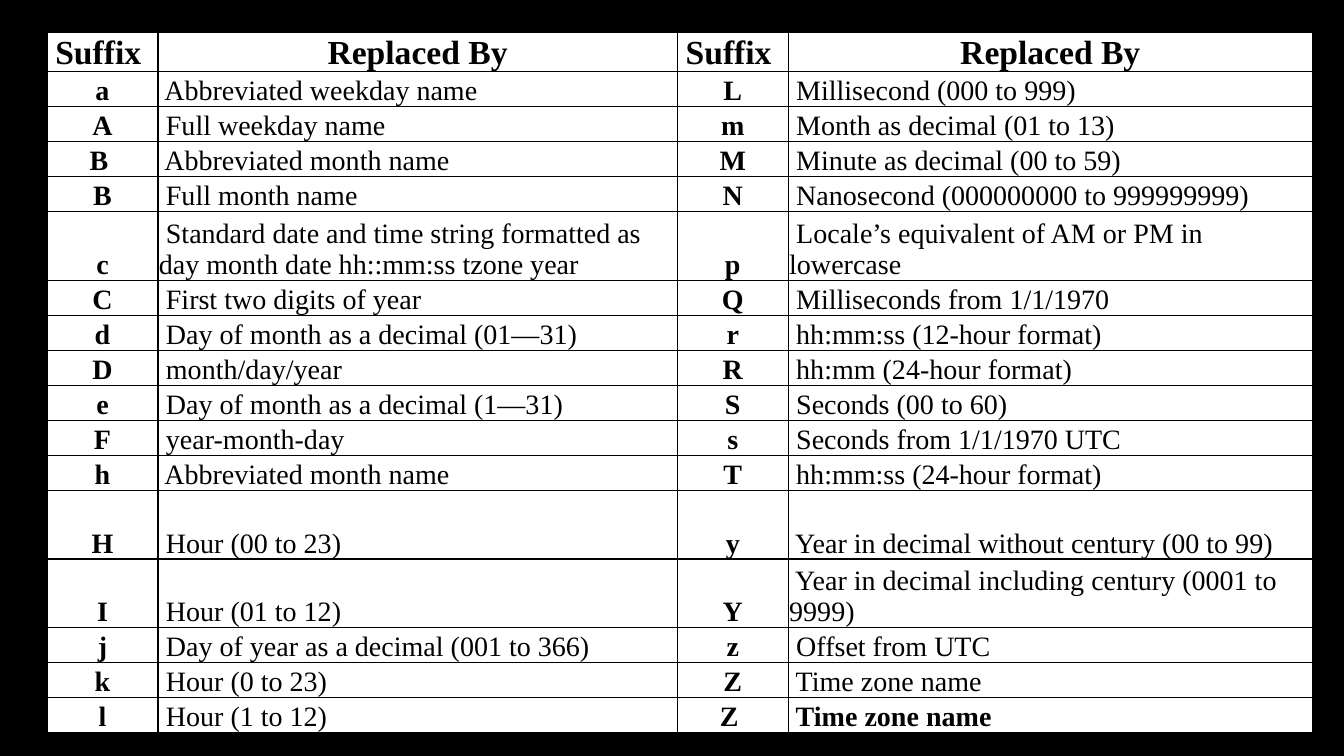
import dataclasses

import lxml.etree
import pptx
import pptx.dml.color
import pptx.enum.text
import pptx.oxml.ns
import pptx.util


@dataclasses.dataclass(frozen=True)
class Theme:
    font: str = "Times New Roman"
    ink: str = "000000"
    paper: str = "FFFFFF"
    backdrop: str = "000000"
    header_size: int = 24
    body_size: int = 20
    border: int = 1
    inset: float = 0.01


HEADER = ("Suffix ", "Replaced By", "Suffix ", "Replaced By")
SUFFIXES = [
    ("a", "Abbreviated weekday name", "L", "Millisecond (000 to 999)"),
    ("A", "Full weekday name", "m", "Month as decimal (01 to 13)"),
    ("B ", "Abbreviated month name", "M", "Minute as decimal (00 to 59)"),
    ("B", "Full month name", "N", "Nanosecond (000000000 to 999999999)"),
    ("c", "Standard date and time string formatted as day month date hh::mm:ss tzone year",
     "p", "Locale’s equivalent of AM or PM in lowercase"),
    ("C", "First two digits of year", "Q", "Milliseconds from 1/1/1970"),
    ("d", "Day of month as a decimal (01—31)", "r", "hh:mm:ss (12-hour format)"),
    ("D", "month/day/year", "R", "hh:mm (24-hour format)"),
    ("e", "Day of month as a decimal (1—31)", "S", "Seconds (00 to 60)"),
    ("F", "year-month-day", "s", "Seconds from 1/1/1970 UTC"),
    ("h", "Abbreviated month name", "T", "hh:mm:ss (24-hour format)"),
    ("H", "Hour (00 to 23)", "y", "Year in decimal without century (00 to 99)"),
    ("I", "Hour (01 to 12)", "Y", "Year in decimal including century (0001 to 9999)"),
    ("j", "Day of year as a decimal (001 to 366)", "z", "Offset from UTC"),
    ("k", "Hour (0 to 23)", "Z", "Time zone name"),
    ("l", "Hour (1 to 12)", "Z ", "Time zone name"),
]
TALL_SUFFIXES = {"c", "H", "I"}

LEFT, TOP = 3.5, 4.3
COLUMN_SHARES = (8.25, 38.65, 8.25, 39)
HEADER_SHARE, ROW_SHARE, TALL_SHARE = 5.2, 4.63, 9.08


class SlideBuilder:
    def __init__(self, deck, theme):
        self.deck = deck
        self.theme = theme
        self.page = deck.slides.add_slide(deck.slide_layouts[6])
        fill = self.page.background.fill
        fill.solid()
        fill.fore_color.rgb = self.color(theme.backdrop)

    def color(self, value):
        return pptx.dml.color.RGBColor.from_string(value)

    def across(self, percent):
        return round(self.deck.slide_width * percent / 100)

    def down(self, percent):
        return round(self.deck.slide_height * percent / 100)

    def table(self, left, top, column_shares, row_shares):
        frame = self.page.shapes.add_table(
            len(row_shares), len(column_shares), self.across(left), self.down(top),
            self.across(sum(column_shares)), self.down(sum(row_shares)))
        table = frame.table
        table.first_row = False
        table.horz_banding = False
        for column, share in zip(table.columns, column_shares):
            column.width = self.across(share)
        for row, share in zip(table.rows, row_shares):
            row.height = self.down(share)
        return table

    def borders(self, cell):
        qn = pptx.oxml.ns.qn
        properties = cell._tc.get_or_add_tcPr()
        for side in ("lnL", "lnR", "lnT", "lnB"):
            line = lxml.etree.SubElement(
                properties, qn(f"a:{side}"), w=str(pptx.util.Pt(self.theme.border)))
            solid = lxml.etree.SubElement(line, qn("a:solidFill"))
            lxml.etree.SubElement(solid, qn("a:srgbClr"), val=self.theme.ink)

    def cell(self, cell, text, size, bold, centered, anchor):
        self.borders(cell)
        cell.fill.solid()
        cell.fill.fore_color.rgb = self.color(self.theme.paper)
        cell.margin_left = cell.margin_right = cell.margin_top = pptx.util.Inches(self.theme.inset)
        cell.margin_bottom = 0
        cell.vertical_anchor = anchor
        para = cell.text_frame.paragraphs[0]
        align = pptx.enum.text.PP_ALIGN
        para.alignment = align.CENTER if centered else align.LEFT
        span = para.add_run()
        span.text = text
        span.font.name = self.theme.font
        span.font.size = pptx.util.Pt(size)
        span.font.bold = bold
        span.font.color.rgb = self.color(self.theme.ink)


def main():
    deck = pptx.Presentation()
    deck.slide_width = pptx.util.Inches(13.33)
    deck.slide_height = pptx.util.Inches(7.5)
    theme = Theme()
    builder = SlideBuilder(deck, theme)
    anchor = pptx.enum.text.MSO_ANCHOR
    row_shares = [HEADER_SHARE] + [
        TALL_SHARE if entry[0] in TALL_SUFFIXES else ROW_SHARE for entry in SUFFIXES]
    table = builder.table(LEFT, TOP, COLUMN_SHARES, row_shares)
    for column, text in enumerate(HEADER):
        builder.cell(table.cell(0, column), text, theme.header_size, True, True, anchor.MIDDLE)
    final_cell = (len(SUFFIXES), len(HEADER) - 1)
    for row, entry in enumerate(SUFFIXES, start=1):
        for column, text in enumerate(entry):
            is_suffix = column % 2 == 0
            builder.cell(
                table.cell(row, column), text if is_suffix else f" {text}", theme.body_size,
                is_suffix or (row, column) == final_cell, is_suffix, anchor.BOTTOM)
    deck.save("out.pptx")


if __name__ == "__main__":
    main()
